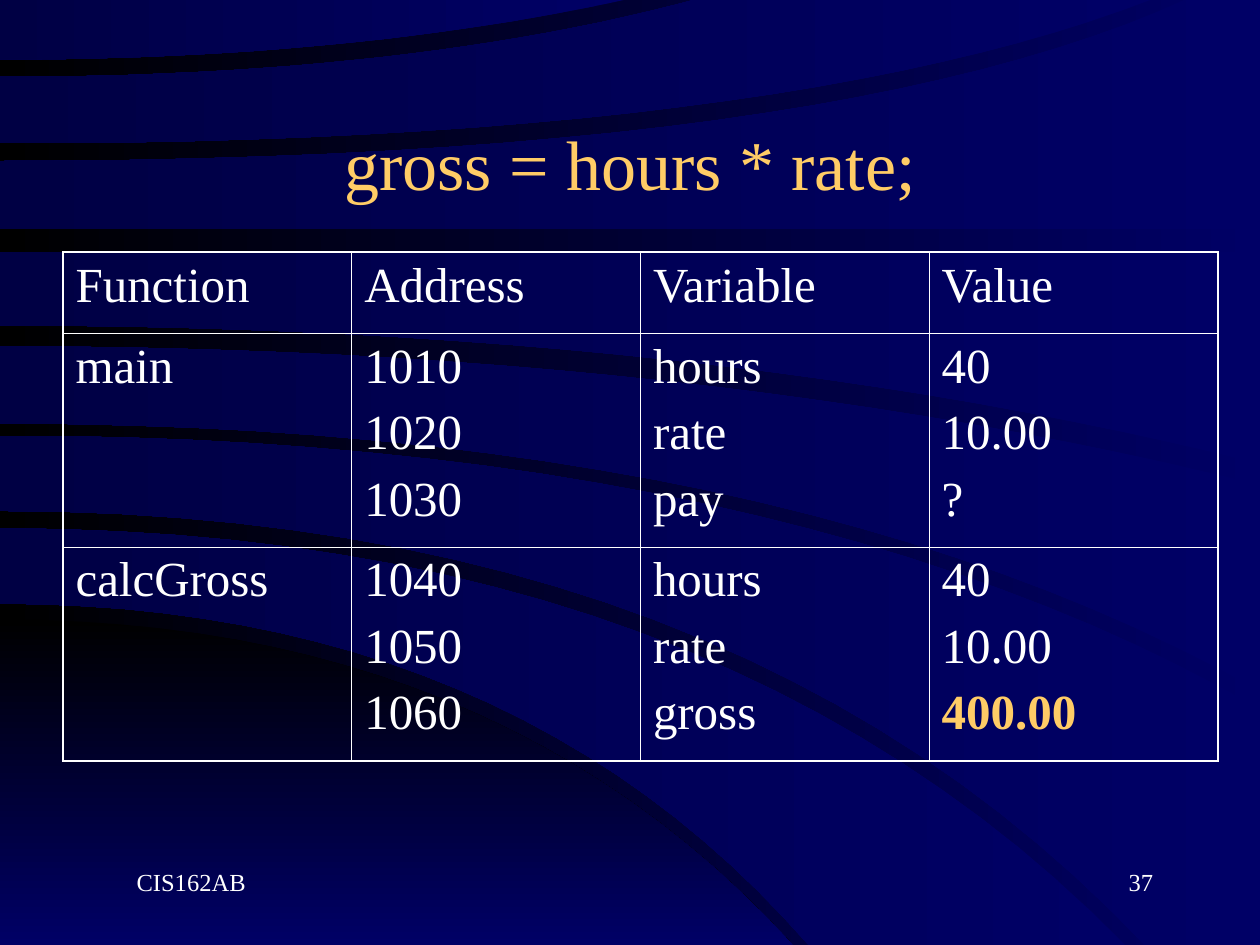
from lxml.etree import SubElement
from pptx import Presentation
from pptx.dml.color import RGBColor
from pptx.enum.text import MSO_ANCHOR, PP_ALIGN
from pptx.oxml.ns import qn
from pptx.util import Pt

NAVY, MIDNIGHT, BLACK = "000066", "000044", "000000"
WHITE, GOLD = "FFFFFF", "FFCC66"
CURVE_STEPS = 24


def set_gradient(fill, first, last, clockwise_angle):
    """Fill with a two-colour linear gradient."""
    fill.gradient()
    fill.gradient_angle = 360 - clockwise_angle
    for stop, colour, position in zip(fill.gradient_stops, (first, last), (0, 1)):
        stop.color.rgb = RGBColor.from_string(colour)
        stop.position = position


def format_text(paragraph, size, colour, bold=False):
    """Set the font of every run in a paragraph."""
    for run in paragraph.runs:
        run.font.name = "Times New Roman"
        run.font.size = Pt(size)
        run.font.bold = bold
        run.font.color.rgb = RGBColor.from_string(colour)


presentation = Presentation()
presentation.slide_width, presentation.slide_height = Pt(720), Pt(540)
slide = presentation.slides.add_slide(presentation.slide_layouts[6])
set_gradient(slide.background.fill, NAVY, BLACK, 180)

# Bands, back to front: upper and lower edge as (start y, bend x, end x, end y).
# Each edge leaves the left side level and is a quadratic curve.
bands = [
    [(354, 284, 453, 540), (540, 226, 453, 540)],
    [(302, 410, 643, 540), (345, 292, 462, 540)],
    [(249, 446, 720, 405), (292, 420, 654, 540)],
    [(198, 400, 720, 277), (242, 449, 720, 395)],
    [(144, 360, 720, 144), (186, 408, 720, 265)],
    [(92, 478, 679, -1), (131, 360, 720, 131)],
    [(44, 235, 400, -1), (82, 446, 660, -1)],
    [(-1, 180, 361, -1), (34, 202, 361, -1)],
]
for band_index, edges in enumerate(bands):
    curves = []
    for start_y, bend_x, end_x, end_y in edges:
        steps = [step / CURVE_STEPS for step in range(CURVE_STEPS + 1)]
        curves.append([
            (2 * bend_x * t * (1 - t) + end_x * t * t, start_y + (end_y - start_y) * t * t)
            for t in steps
        ])
    upper, lower = curves
    near, far = sorted([upper[-1], lower[-1]])
    outline = upper + [(far[0], near[1])] + lower[::-1]
    points = [(round(x * 10), round(y * 10)) for x, y in outline]
    builder = slide.shapes.build_freeform(*points[0], scale=Pt(0.1))
    builder.add_line_segments(points[1:], close=True)
    shape = builder.convert_to_shape()
    shape.shadow.inherit = False
    shape.line.fill.background()
    if band_index == 0:
        set_gradient(shape.fill, BLACK, NAVY, 90)
    else:
        set_gradient(shape.fill, NAVY, MIDNIGHT, 180)

# Title, page number and course name
text_boxes = [
    ("gross = hours * rate;", 54, 48, 612, 90, 40, GOLD, PP_ALIGN.CENTER, MSO_ANCHOR.MIDDLE, 0),
    ("37", 516, 492, 150, 36, 14, WHITE, PP_ALIGN.RIGHT, MSO_ANCHOR.TOP, 17),
    ("CIS162AB", 54, 492, 150, 36, 14, WHITE, PP_ALIGN.LEFT, MSO_ANCHOR.TOP, 17),
]
for text, left, top, width, height, size, colour, alignment, anchor, indent in text_boxes:
    text_box = slide.shapes.add_textbox(Pt(left), Pt(top), Pt(width), Pt(height))
    text_frame = text_box.text_frame
    text_frame.word_wrap = True
    text_frame.vertical_anchor = anchor
    text_frame.text = text
    paragraph = text_frame.paragraphs[0]
    paragraph.alignment = alignment
    paragraph._p.get_or_add_pPr().set("marL", str(Pt(indent)))
    format_text(paragraph, size, colour)

# Memory table
rows = [
    ["Function", "Address", "Variable", "Value"],
    ["main", "1010\n1020\n1030", "hours\nrate\npay", "40\n10.00\n?"],
    ["calcGross", "1040\n1050\n1060", "hours\nrate\ngross", "40\n10.00\n400.00"],
]
row_heights = [46.4, 122.2, 122.2]
table = slide.shapes.add_table(3, 4, Pt(36), Pt(144), Pt(660), Pt(sum(row_heights))).table
table.first_row = table.horz_banding = False
for row, height in zip(table.rows, row_heights):
    row.height = Pt(height)

for row_index, row_texts in enumerate(rows):
    for column_index, text in enumerate(row_texts):
        cell = table.cell(row_index, column_index)
        cell.text_frame.text = text
        for paragraph in cell.text_frame.paragraphs:
            paragraph.space_before = Pt(7)
            is_result = paragraph.text == "400.00"
            format_text(paragraph, 28, GOLD if is_result else WHITE, is_result)
        outer_sides = {
            "a:lnL": column_index == 0,
            "a:lnR": column_index == 3,
            "a:lnT": row_index == 0,
            "a:lnB": row_index == 2,
        }
        properties = cell._tc.get_or_add_tcPr()
        for side, is_outer in outer_sides.items():
            border = SubElement(properties, qn(side), w=str(Pt(1.08 if is_outer else 0.45)))
            border_fill = SubElement(border, qn("a:solidFill"))
            SubElement(border_fill, qn("a:srgbClr"), val=WHITE)
        cell.fill.background()

presentation.save("out.pptx")
